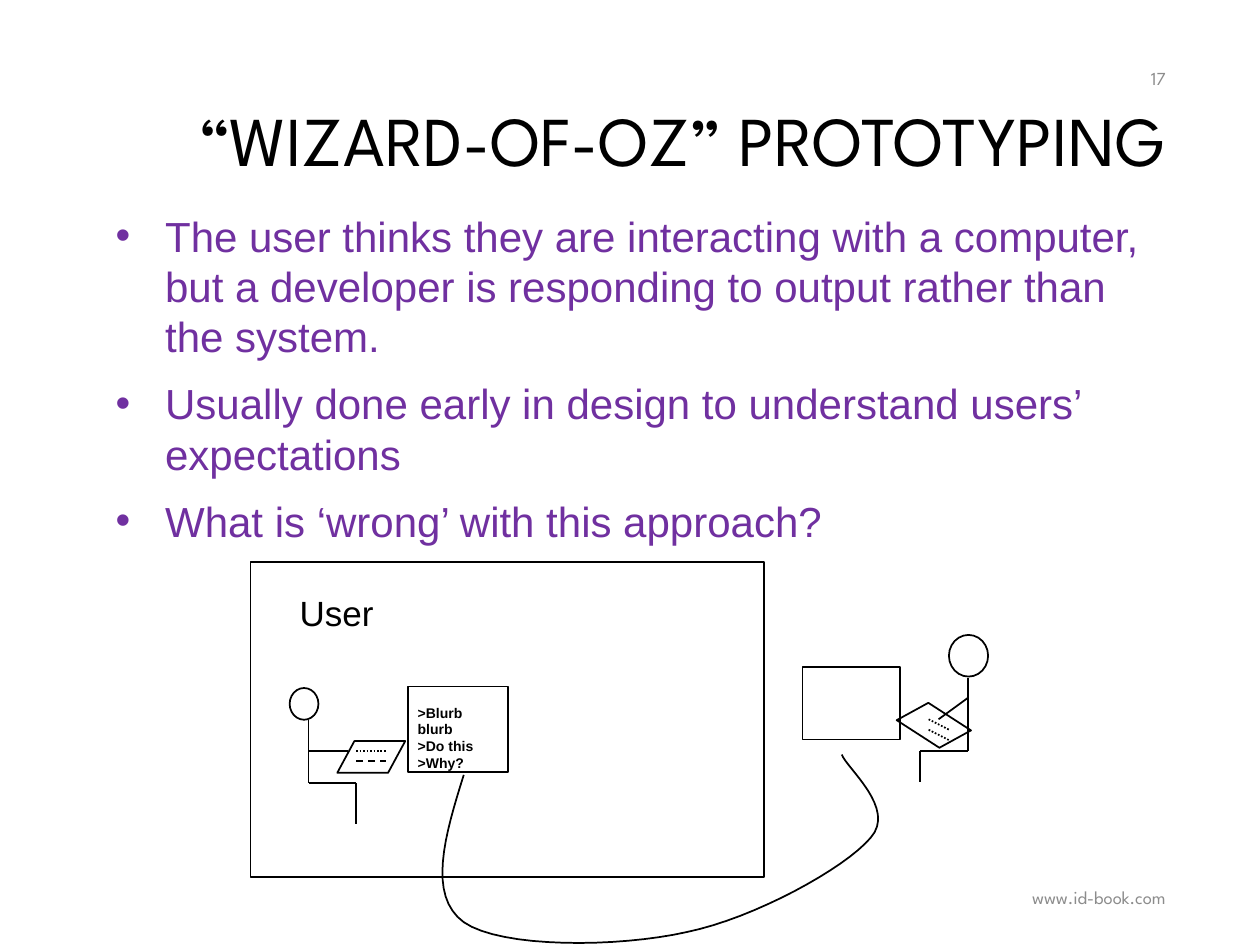
from itertools import pairwise

from pptx import Presentation
from pptx.dml.color import RGBColor
from pptx.enum.dml import MSO_LINE
from pptx.enum.shapes import MSO_CONNECTOR, MSO_SHAPE
from pptx.enum.text import MSO_ANCHOR, PP_ALIGN
from pptx.oxml.ns import qn
from pptx.util import Cm, Pt
from lxml import etree

BLACK = RGBColor(0x00, 0x00, 0x00)
GREY = RGBColor(0x8C, 0x8C, 0x8C)
PURPLE = RGBColor(0x70, 0x30, 0xA0)
SANS = "Arial"
HEADING = "League Spartan"
RECT = MSO_SHAPE.RECTANGLE
OVAL = MSO_SHAPE.OVAL
SLANT = MSO_SHAPE.PARALLELOGRAM
STRAIGHT = MSO_CONNECTOR.STRAIGHT
DOTS = MSO_LINE.ROUND_DOT
DASH = MSO_LINE.DASH
RIGHT = PP_ALIGN.RIGHT
LEFT = PP_ALIGN.LEFT
TOP = MSO_ANCHOR.TOP
MIDDLE = MSO_ANCHOR.MIDDLE


def inset(box, x, y, width, height):
    """Return a box placed relative to another box, in centimetres."""
    return box[0] + x, box[1] + y, width, height


def ink(shape):
    """Give a shape a thin black outline and no fill or shadow."""
    shape.shadow.inherit = False
    shape.fill.background()
    shape.line.color.rgb = BLACK
    shape.line.width = Pt(1)


def outline(slide, kind, box):
    """Draw an unfilled preset shape."""
    shape = slide.shapes.add_shape(kind, *map(Cm, box))
    ink(shape)
    return shape


def stroke(slide, box, start, end, dash=None):
    """Draw a straight line between two points of a box."""
    ends = [Cm(box[i] + point[i]) for point in (start, end) for i in (0, 1)]
    line = slide.shapes.add_connector(STRAIGHT, *ends)
    line.line.color.rgb = BLACK
    line.line.width = Pt(1)
    if dash:
        line.line.dash_style = dash
    etree.SubElement(line._element.spPr, qn("a:effectLst"))


def write(slide, box, lines, size, color=BLACK, font=SANS, align=LEFT,
          anchor=TOP, bold=False, wrap=True):
    """Add a text box with one paragraph per line and return its frame."""
    frame = slide.shapes.add_textbox(*map(Cm, box)).text_frame
    frame.word_wrap = wrap
    frame.vertical_anchor = anchor
    for i, line in enumerate(lines):
        para = frame.add_paragraph() if i else frame.paragraphs[0]
        para.alignment = align
        run = para.add_run()
        run.text = line
        run.font.size = Pt(size)
        run.font.name = font
        run.font.bold = bold
        run.font.color.rgb = color
    return frame


def title(slide, box):
    """Place the slide heading."""
    frame = write(slide, box, ["“WIZARD-OF-OZ” PROTOTYPING"], 40,
                  font=HEADING, align=RIGHT, anchor=MIDDLE)
    frame.paragraphs[0].line_spacing = 0.9


def label(slide, box, text):
    """Place a small grey label at the slide margin."""
    write(slide, box, [text], 10.5, GREY, HEADING, RIGHT, MIDDLE)


def points(slide, box):
    """Place the bulleted list."""
    frame = write(slide, box, [
        "The user thinks they are interacting with a computer, but a "
        "developer is responding to output rather than the system.",
        "Usually done early in design to understand users’ expectations",
        "What is ‘wrong’ with this approach?",
    ], 24, PURPLE)
    for i, para in enumerate(frame.paragraphs):
        if i:
            para.space_before = Pt(9.5)
        props = para._p.get_or_add_pPr()
        props.set("marL", str(Cm(1)))
        props.set("indent", str(-Cm(1)))
        font = etree.SubElement(props, qn("a:buFont"))
        font.set("typeface", SANS)
        etree.SubElement(props, qn("a:buChar")).set("char", "•")


def person(slide, box, head, body, arm):
    """Draw a seated stick figure from a head, body joints and an arm."""
    outline(slide, OVAL, inset(box, *head))
    for start, end in [*pairwise(body), arm]:
        stroke(slide, box, start, end)


def keyboard(slide, box, place, rows, turn=0):
    """Draw a slanted keyboard with rows of keys."""
    board = outline(slide, SLANT, inset(box, *place, 1.37, 0.64))
    board.adjustments[0] = 0.54
    board.rotation = turn
    for start, end, dash in rows:
        stroke(slide, box, start, end, dash)


def room(slide, box):
    """Draw the room with the user at a computer."""
    outline(slide, RECT, box)
    outline(slide, RECT, inset(box, 3.18, 2.51, 2.01, 1.73))
    write(slide, inset(box, 3.12, 2.74, 2.06, 1.27),
          [">Blurb blurb", ">Do this", ">Why?"], 8, bold=True)
    write(slide, inset(box, 0.74, 0.46, 2.01, 1.12), ["User"], 20, wrap=False)
    person(slide, box, (0.79, 2.54, 0.58, 0.64),
           [(1.17, 3.18), (1.17, 4.45), (2.13, 4.45), (2.13, 5.28)],
           [(1.17, 3.81), (1.96, 3.81)])
    keyboard(slide, box, (1.75, 3.61),
             [((2.13, y), (2.74, y), dash)
              for y, dash in ((3.81, DOTS), (4.01, DASH))])


def wizard(slide, box):
    """Draw the hidden developer at a second computer."""
    outline(slide, RECT, inset(box, 0, 0.64, 1.96, 1.47))
    person(slide, box, (2.95, 0, 0.79, 0.84),
           [(3.33, 0.86), (3.33, 2.34), (2.36, 2.34), (2.36, 2.97)],
           [(3.33, 1.27), (2.74, 1.7)])
    keyboard(slide, box, (1.96, 1.5),
             [((2.54, y), (2.95, y + 0.21), DOTS) for y in (1.7, 1.91)], 212.9)


def bend(knots, steps=16):
    """Return points along a chain of cubic curves."""
    path = [knots[0]]
    for i in range(0, len(knots) - 1, 3):
        for step in range(1, steps + 1):
            t = step / steps
            u = 1 - t
            parts = (u ** 3, 3 * u * u * t, 3 * u * t * t, t ** 3)
            path.append(tuple(
                sum(part * knot[axis] for part, knot in zip(parts, knots[i:i + 4]))
                for axis in (0, 1)))
    return path


def cable(slide, box):
    """Draw the curved cable that joins the two computers."""
    knots = [(0.74, 0.41), (0.36, 1.63), (0, 2.84), (0.74, 3.38),
             (1.5, 3.91), (3.86, 3.89), (5.23, 3.58),
             (6.6, 3.3), (8.43, 2.29), (8.94, 1.68),
             (9.47, 1.09), (8.46, 0.28), (8.36, 0)]
    path = [(Cm(box[0] + x), Cm(box[1] + y)) for x, y in bend(knots)]
    pen = slide.shapes.build_freeform(*path[0])
    pen.add_line_segments(path[1:], close=False)
    ink(pen.convert_to_shape())


def main():
    """Build and save the slide."""
    deck = Presentation()
    deck.slide_width, deck.slide_height = Cm(25.4), Cm(19.05)
    slide = deck.slides.add_slide(deck.slide_layouts[6])
    title(slide, (3.71, 1.12, 20.04, 3.58))
    label(slide, (17.81, 17.58, 5.94, 1.02), "www.id-book.com")
    label(slide, (18.26, 1.07, 5.49, 1.02), "17")
    points(slide, (2.08, 4.11, 21.79, 12.65))
    room(slide, (5.05, 11.33, 10.36, 6.35))
    wizard(slide, (16.18, 12.8, 3.74, 2.97))
    cable(slide, (8.61, 15.21, 9.47, 3.91))
    deck.save("out.pptx")


if __name__ == "__main__":
    main()
